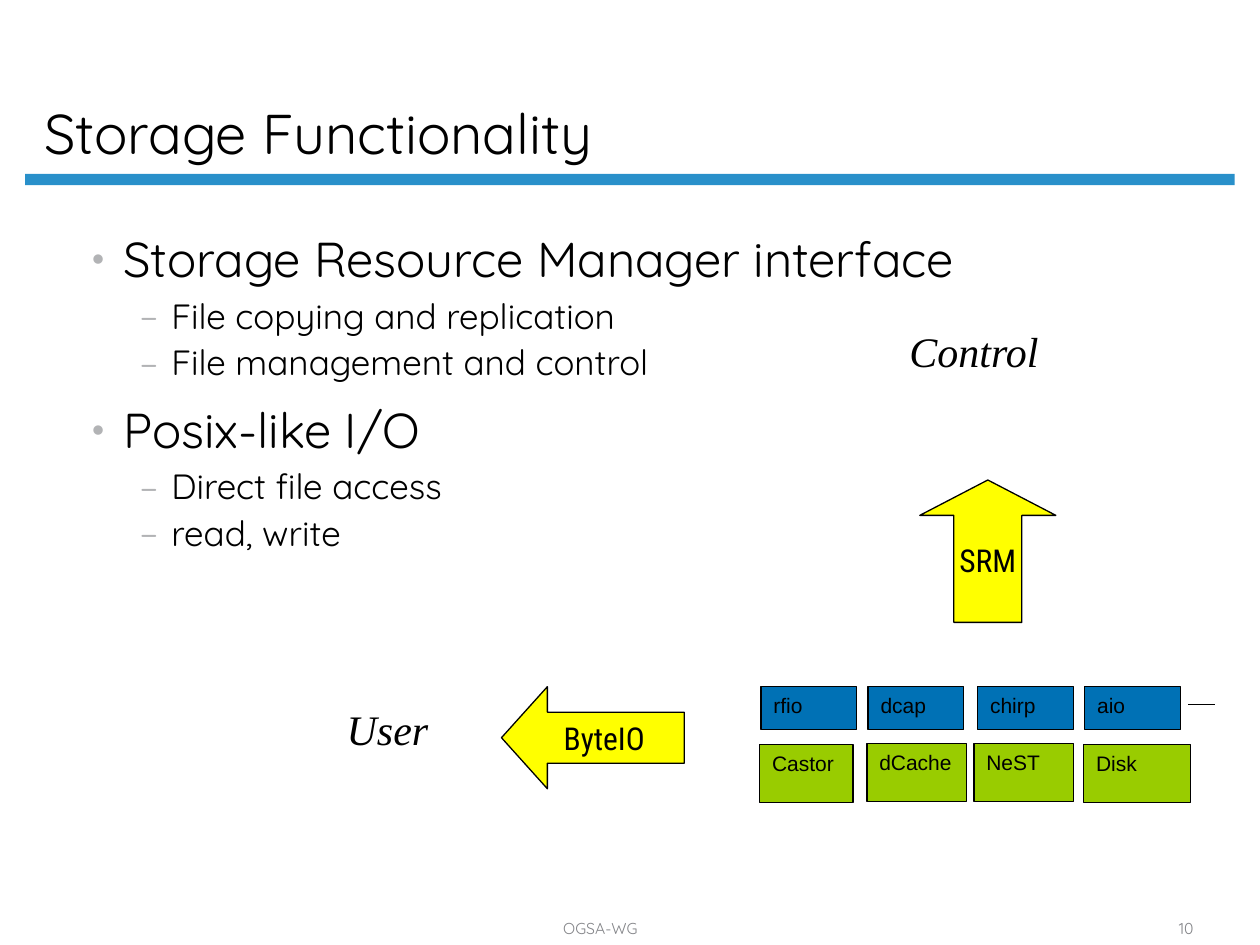
from dataclasses import dataclass

from lxml import etree
from pptx import Presentation
from pptx import util as u
from pptx.dml.color import RGBColor
from pptx.enum import shapes, text
from pptx.oxml import ns


@dataclass(frozen=True)
class Theme:
    black: str = "000000"
    rule: str = "2990CA"
    protocol: str = "0071B5"
    storage: str = "99CC00"
    arrow: str = "FFFF00"
    bullet: str = "B2B3B5"
    footer: str = "848589"
    sans: str = "Quicksand"
    label: str = "Arial"
    narrow: str = "Roboto Condensed"
    serif: str = "Times New Roman"
    title_size: float = 32
    topic_size: float = 28
    detail_size: float = 20
    role_size: float = 24
    arrow_size: float = 18
    label_size: float = 12
    footer_size: float = 9
    outline: float = 0.75


theme = Theme()
align = text.PP_ALIGN
anchor = text.MSO_ANCHOR
preset = shapes.MSO_SHAPE


def write(box, words, font, size, color=theme.black, alignment=align.LEFT,
          vertical=anchor.TOP, wrap=True, italic=False):
    frame = box.text_frame
    frame.text = words
    frame.word_wrap = wrap
    frame.auto_size = text.MSO_AUTO_SIZE.NONE
    frame.vertical_anchor = vertical
    for para in frame.paragraphs:
        para.alignment = alignment
        for span in para.runs:
            span.font.name = font
            span.font.size = u.Pt(size)
            span.font.italic = italic
            span.font.color.rgb = RGBColor.from_string(color)
    return frame


def add_block(kind, left, top, width, height, fill, outlined=True):
    block = page.shapes.add_shape(kind, *map(u.Inches, (left, top, width, height)))
    block.shadow.inherit = False
    block.fill.solid()
    block.fill.fore_color.rgb = RGBColor.from_string(fill)
    if outlined:
        block.line.color.rgb = RGBColor.from_string(theme.black)
        block.line.width = u.Pt(theme.outline)
    else:
        block.line.fill.background()
    return block


deck = Presentation()
deck.slide_width, deck.slide_height = u.Inches(10), u.Inches(7.5)
page = deck.slides.add_slide(deck.slide_layouts[1])
title, body = page.placeholders

add_block(preset.RECTANGLE, 0.2, 1.38, 9.6, 0.09, theme.rule, outlined=False)

title.left, title.top, title.width, title.height = map(u.Inches, (0.25, 0.12, 8.56, 1.25))
heading = write(title, "Storage Functionality", theme.sans, theme.title_size, vertical=anchor.BOTTOM)
heading.paragraphs[0].line_spacing = 0.9

outline = [
    (0, "Storage Resource Manager interface"),
    (1, "File copying and replication"),
    (1, "File management and control"),
    (0, "Posix-like I/O"),
    (1, "Direct file access"),
    (1, "read, write"),
]
levels = [
    {"size": theme.topic_size, "before": 10.5, "after": 3.5, "indent": 0.25, "char": "•", "scale": 75},
    {"size": theme.detail_size, "before": 2.5, "after": 2.5, "indent": 0.63, "char": "−", "scale": 100},
]
body.left, body.top, body.width, body.height = map(u.Inches, (0.63, 1.82, 7.99, 4.78))
frame = write(body, "\n".join(words for _, words in outline), theme.sans, theme.topic_size)
for index, (para, (level, _)) in enumerate(zip(frame.paragraphs, outline)):
    style = levels[level]
    para.level = level
    para.line_spacing = 0.9
    para.space_before = u.Pt(style["before"] if index else 0)
    para.space_after = u.Pt(style["after"])
    para.runs[0].font.size = u.Pt(style["size"])
    properties = para._p.get_or_add_pPr()
    properties.set("marL", str(u.Inches(style["indent"])))
    properties.set("indent", str(u.Inches(-0.25)))
    bullet_color = etree.SubElement(properties, ns.qn("a:buClr"))
    etree.SubElement(bullet_color, ns.qn("a:srgbClr"), val=theme.bullet)
    etree.SubElement(properties, ns.qn("a:buSzPct"), val=str(style["scale"] * 1000))
    etree.SubElement(properties, ns.qn("a:buFont"), typeface=theme.sans)
    etree.SubElement(properties, ns.qn("a:buChar"), char=style["char"])

protocols = [("rfio", 6.04), ("dcap", 6.89), ("chirp", 7.76), ("aio", 8.61)]
for name, left in protocols:
    block = add_block(preset.RECTANGLE, left, 5.45, 0.76, 0.34, theme.protocol)
    write(block, name, theme.label, theme.label_size)

more = page.shapes.add_connector(shapes.MSO_CONNECTOR.STRAIGHT, u.Inches(9.43), u.Inches(5.59),
                                 u.Inches(9.64), u.Inches(5.59))
more.line.color.rgb = RGBColor.from_string(theme.black)
more.line.width = u.Pt(theme.outline)
etree.SubElement(more._element.spPr, ns.qn("a:effectLst"))

systems = [("Castor", 6.03, 5.91, 0.74), ("dCache", 6.88, 5.9, 0.79),
           ("NeST", 7.73, 5.9, 0.79), ("Disk", 8.6, 5.91, 0.85)]
for name, left, top, width in systems:
    block = add_block(preset.RECTANGLE, left, top, width, 0.46, theme.storage)
    write(block, name, theme.label, theme.label_size)

for role, left, top, width in [("Control", 7.11, 2.58, 1.24), ("User", 2.65, 5.58, 0.85)]:
    box = page.shapes.add_textbox(*map(u.Inches, (left, top, width, 0.46)))
    frame = write(box, role, theme.serif, theme.role_size, alignment=align.CENTER, wrap=False, italic=True)
    frame.auto_size = text.MSO_AUTO_SIZE.SHAPE_TO_FIT_TEXT
    frame.paragraphs[0].line_spacing = 0.9

arrows = [
    ("ByteIO", preset.LEFT_ARROW, (3.98, 5.45, 1.45, 0.81), 0.448),
    ("SRM", preset.UP_ARROW, (7.3, 3.81, 1.08, 1.13), 0.263),
]
for name, kind, place, head in arrows:
    arrow = add_block(kind, *place, theme.arrow)
    arrow.adjustments[0] = 0.5
    arrow.adjustments[1] = round(head, 2)
    write(arrow, name, theme.narrow, theme.arrow_size, alignment=align.CENTER,
          vertical=anchor.MIDDLE, wrap=False)

for words, left, width in [("OGSA-WG", 2.33, 4.87), ("10", 9, 0.83)]:
    box = page.shapes.add_textbox(*map(u.Inches, (left, 7.25, width, 0.24)))
    write(box, words, theme.sans, theme.footer_size, theme.footer, align.CENTER, anchor.BOTTOM)

deck.save("out.pptx")
